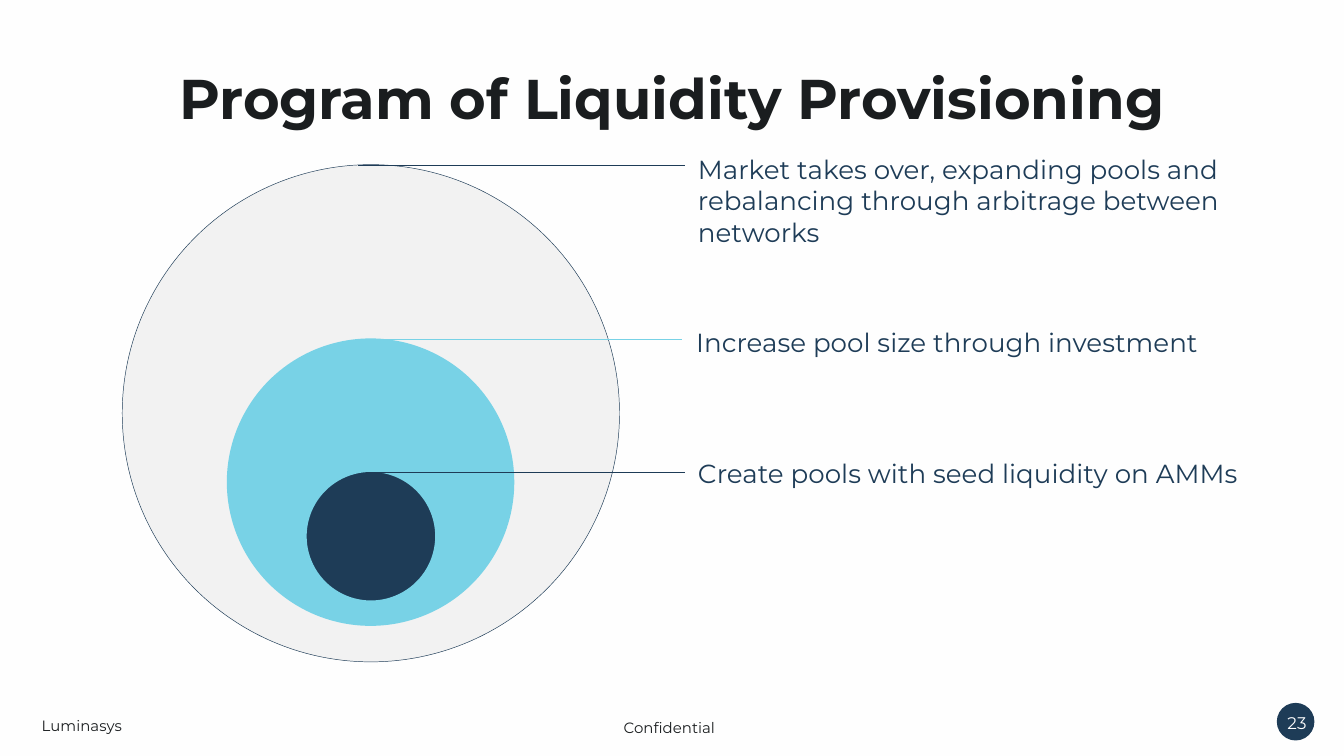
from dataclasses import dataclass
from typing import Optional

from lxml import etree
from pptx import Presentation
from pptx import util as u
from pptx.dml import color
from pptx.enum import shapes, text
from pptx.oxml import ns

EMU_PER_PX = 4572


@dataclass(frozen=True)
class Theme:
    font: str = "Montserrat"
    paper: str = "FEFEFE"
    ink: str = "1A1D1F"
    navy: str = "1E3C57"
    cyan: str = "78D2E6"
    grey: str = "F2F2F2"
    title_size: int = 30
    label_size: int = 14
    page_size: int = 9
    footer_size: int = 8
    leader_width: float = 0.75


@dataclass(frozen=True)
class Box:
    left: int
    top: int
    width: int
    height: int


@dataclass(frozen=True)
class Circle:
    box: Box
    fill: str
    line: Optional[str] = None
    line_width: float = 1


@dataclass(frozen=True)
class Leader:
    start: int
    end: int
    y: int
    line: str


@dataclass(frozen=True)
class Label:
    words: str
    box: Box
    inset: int = 20


THEME = Theme()

CIRCLES = [
    Circle(Box(182, 245, 740, 740), THEME.grey, THEME.navy, 0.25),
    Circle(Box(339, 505, 425, 425), THEME.cyan, THEME.cyan),
    Circle(Box(455, 701, 194, 194), THEME.navy, THEME.cyan),
]
LEADERS = [
    Leader(544, 1020, 703, THEME.navy),
    Leader(552, 1015, 505, THEME.cyan),
    Leader(533, 1020, 246, THEME.navy),
]
LABELS = [
    Label("Market takes over, expanding pools and rebalancing through "
          "arbitrage between networks", Box(1019, 218, 946, 162)),
    Label("Increase pool size through investment", Box(1026, 476, 904, 104), 10),
    Label("Create pools with seed liquidity on AMMs", Box(1019, 671, 981, 68)),
]
FOOTERS = [
    Label("Luminasys", Box(52, 1056, 622, 48), 10),
    Label("Confidential", Box(918, 1060, 622, 48), 10),
]


def px(length: int) -> u.Emu:
    return u.Emu(length * EMU_PER_PX)


def rgb(code: str) -> color.RGBColor:
    return color.RGBColor.from_string(code)


def place(shape, box: Box) -> None:
    shape.left, shape.top = px(box.left), px(box.top)
    shape.width, shape.height = px(box.width), px(box.height)


def write(shape, words: str, *, size: int, ink: str, bold: bool = False,
          align=text.PP_ALIGN.LEFT, anchor=text.MSO_ANCHOR.TOP,
          inset: int = 20, wrap: bool = True) -> None:
    frame = shape.text_frame
    frame.word_wrap = wrap
    frame.auto_size = text.MSO_AUTO_SIZE.NONE
    frame.vertical_anchor = anchor
    frame.margin_left = frame.margin_right = px(inset)
    frame.margin_top = frame.margin_bottom = px(10)
    para = frame.paragraphs[0]
    para.alignment = align
    span = para.add_run()
    span.text = words
    span.font.name = THEME.font
    span.font.size = u.Pt(size)
    span.font.bold = bold
    span.font.color.rgb = rgb(ink)


def add_text(page, label: Label, **style) -> None:
    shape = page.shapes.add_textbox(0, 0, 0, 0)
    place(shape, label.box)
    write(shape, label.words, inset=label.inset, **style)


def add_circle(page, circle: Circle) -> None:
    shape = page.shapes.add_shape(shapes.MSO_SHAPE.OVAL, 0, 0, 0, 0)
    place(shape, circle.box)
    shape.shadow.inherit = False
    shape.fill.solid()
    shape.fill.fore_color.rgb = rgb(circle.fill)
    if circle.line is None:
        shape.line.fill.background()
    else:
        shape.line.color.rgb = rgb(circle.line)
        shape.line.width = u.Pt(circle.line_width)


def add_leader(page, leader: Leader) -> None:
    line = page.shapes.add_connector(
        shapes.MSO_CONNECTOR.STRAIGHT,
        px(leader.start), px(leader.y), px(leader.end), px(leader.y))
    line.line.color.rgb = rgb(leader.line)
    line.line.width = u.Pt(THEME.leader_width)
    etree.SubElement(line._element.spPr, ns.qn("a:effectLst"))


def main() -> None:
    deck = Presentation()
    deck.slide_width, deck.slide_height = px(2000), px(1125)
    page = deck.slides.add_slide(deck.slide_layouts.get_by_name("Title Only"))
    page.background.fill.solid()
    page.background.fill.fore_color.rgb = rgb(THEME.paper)

    title = page.shapes.title
    place(title, Box(0, 85, 2000, 122))
    write(title, "Program of Liquidity Provisioning", size=THEME.title_size,
          ink=THEME.ink, bold=True, align=text.PP_ALIGN.CENTER, inset=4)

    for circle in CIRCLES:
        add_circle(page, circle)
    for leader in LEADERS:
        add_leader(page, leader)
    for label in LABELS:
        add_text(page, label, size=THEME.label_size, ink=THEME.navy)
    for footer in FOOTERS:
        add_text(page, footer, size=THEME.footer_size, ink=THEME.ink)

    add_circle(page, Circle(Box(1900, 1046, 56, 56), THEME.navy))
    add_text(page, Label("23", Box(1895, 1040, 70, 70)), size=THEME.page_size,
             ink=THEME.paper, align=text.PP_ALIGN.CENTER,
             anchor=text.MSO_ANCHOR.MIDDLE, wrap=False)
    deck.save("out.pptx")


if __name__ == "__main__":
    main()
